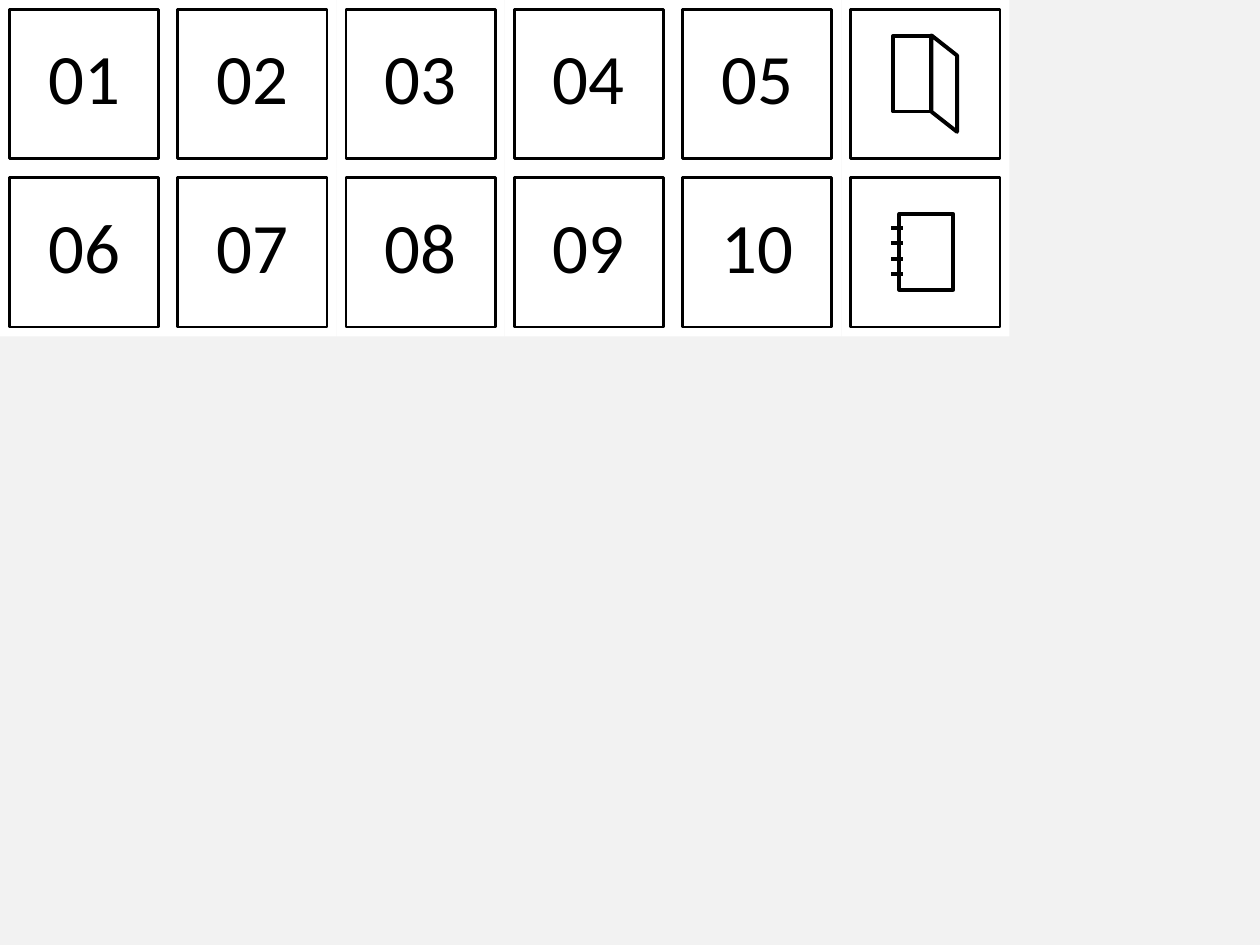
"""Build a sheet of ten numbered cards and two icon cards on a grid."""
from lxml.etree import SubElement
from pptx import Presentation
from pptx.dml.color import RGBColor
from pptx.enum.shapes import MSO_CONNECTOR as LINE, MSO_SHAPE as SHAPE
from pptx.enum.text import MSO_ANCHOR as ANCHOR, PP_ALIGN as ALIGN
from pptx.oxml.ns import qn
from pptx.util import Inches, Pt

BLACK = RGBColor(0x00, 0x00, 0x00)
WHITE = RGBColor(0xFF, 0xFF, 0xFF)
GREY = RGBColor(0xF2, 0xF2, 0xF2)

CELL = 1.78
MARGIN = 0.1
COLS, ROWS = 5, 2


def add_box(group, kind, x, y, w, h, weight=None):
    sp = group.shapes.add_shape(kind, Inches(x), Inches(y), Inches(w), Inches(h))
    sp.shadow.inherit = False
    if weight:
        sp.fill.background()
        sp.line.color.rgb = BLACK
        sp.line.width = Pt(weight)
    else:
        sp.fill.solid()
        sp.fill.fore_color.rgb = WHITE
        sp.line.fill.background()
    return sp


def add_card(s, col, row):
    group = s.shapes.add_group_shape()
    x, y = col * CELL, row * CELL
    card = add_box(group, SHAPE.RECTANGLE, x, y, CELL, CELL)
    side = CELL - 2 * MARGIN
    add_box(group, SHAPE.RECTANGLE, x + MARGIN, y + MARGIN, side, side, 2)
    return group, card


prs = Presentation()
prs.slide_width, prs.slide_height = Inches(13.33), Inches(10)
s = prs.slides.add_slide(prs.slide_layouts[6])
s.background.fill.solid()
s.background.fill.fore_color.rgb = GREY

for i in range(COLS * ROWS):
    row, col = divmod(i, COLS)
    group, card = add_card(s, col, row)
    tf = card.text_frame
    tf.word_wrap = False
    tf.vertical_anchor = ANCHOR.MIDDLE
    tf.margin_left = tf.margin_right = Inches(0.12)
    tf.margin_top, tf.margin_bottom = 0, Inches(0.16)
    p = tf.paragraphs[0]
    p.text = f"{i + 1:02d}"
    p.alignment = ALIGN.CENTER
    p.font.name = "Calibri"
    p.font.size = Pt(54)
    p.font.color.rgb = BLACK

x, y = COLS * CELL, 0
leaflet, card = add_card(s, COLS, 0)
page = add_box(leaflet, SHAPE.RECTANGLE, x + 0.35, y + 0.58, 0.8, 0.4, 3)
flap = add_box(leaflet, SHAPE.PARALLELOGRAM, x + 0.58, y + 0.75, 1.02, 0.27, 3)
flap.adjustments[0] = 0.787

y = CELL
notebook, card = add_card(s, COLS, 1)
cover = add_box(notebook, SHAPE.RECTANGLE, x + 0.5, y + 0.6, 0.8, 0.57, 3)
for sp in (page, flap, cover):
    sp.rotation = 270

for i in range(4):
    ring_y = Inches(y + 0.63 + i * 0.163)
    ring = notebook.shapes.add_connector(
        LINE.STRAIGHT, Inches(x + 0.65), ring_y, Inches(x + 0.53), ring_y)
    ring.line.color.rgb = BLACK
    ring.line.width = Pt(3)
    SubElement(ring._element.spPr, qn("a:effectLst"))

prs.save("out.pptx")
